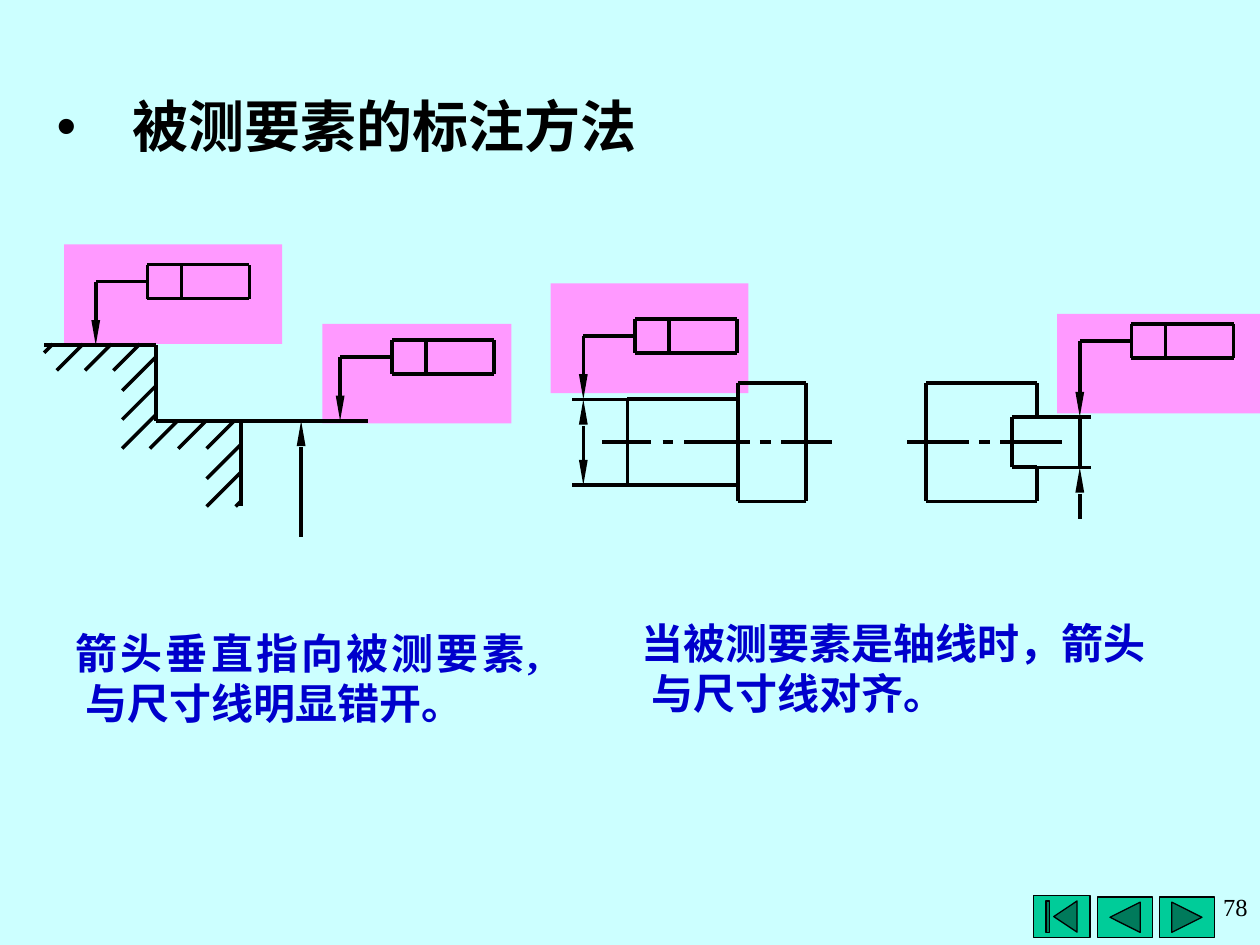
from dataclasses import dataclass
from itertools import pairwise

from lxml import etree
from pptx import Presentation
from pptx.dml.color import RGBColor
from pptx.enum.shapes import MSO_CONNECTOR, MSO_SHAPE
from pptx.enum.text import MSO_ANCHOR, MSO_AUTO_SIZE, PP_ALIGN
from pptx.oxml.ns import qn
from pptx.util import Inches, Pt

STRAIGHT = MSO_CONNECTOR.STRAIGHT
RECTANGLE = MSO_SHAPE.RECTANGLE
FIRST = MSO_SHAPE.ACTION_BUTTON_BEGINNING
BACK = MSO_SHAPE.ACTION_BUTTON_BACK_OR_PREVIOUS
NEXT = MSO_SHAPE.ACTION_BUTTON_FORWARD_OR_NEXT
TOP = MSO_ANCHOR.TOP
FIXED = MSO_AUTO_SIZE.NONE
LEFT, RIGHT, JUSTIFY = PP_ALIGN.LEFT, PP_ALIGN.RIGHT, PP_ALIGN.JUSTIFY


@dataclass(frozen=True)
class Theme:
    background = RGBColor(0xCC, 0xFF, 0xFF)
    ink = RGBColor(0, 0, 0)
    caption = RGBColor(0, 0, 0xCC)
    highlight = RGBColor(0xFF, 0x99, 0xFF)
    button = RGBColor(0, 0xCC, 0x99)
    sans = "Noto Sans CJK SC"
    serif = "Times New Roman"
    title_size = Pt(32)
    caption_size = Pt(24)
    number_size = Pt(14)
    thin = Pt(0)
    thick = Pt(2.25)


theme = Theme()
deck = Presentation()
deck.slide_width, deck.slide_height = Inches(10), Inches(7.5)
page = deck.slides.add_slide(deck.slide_layouts[5])
page.background.fill.solid()
page.background.fill.fore_color.rgb = theme.background
shapes = page.shapes


def draw_path(points, width=theme.thin):
    """Join consecutive points, given in inches, with straight lines."""
    for start, end in pairwise(points):
        line = shapes.add_connector(STRAIGHT, *map(Inches, start + end))
        line.line.width = width
        line.line.color.rgb = theme.ink
        etree.SubElement(line._element.spPr, qn("a:effectLst"))


def draw_arrowhead(x, tip, length):
    """A positive length points down, a negative one points up."""
    base, half = tip - length, 0.035
    outline = shapes.build_freeform(Inches(x - half), Inches(base))
    outline.add_line_segments(
        [(Inches(x + half), Inches(base)), (Inches(x), Inches(tip))], close=True
    )
    head = outline.convert_to_shape()
    head.shadow.inherit = False
    head.fill.solid()
    head.fill.fore_color.rgb = theme.ink
    head.line.fill.background()


# Navigation buttons and highlights
blocks = [
    (NEXT, theme.button, (9.2, 7.12, 0.44, 0.32)),
    (BACK, theme.button, (8.71, 7.12, 0.44, 0.32)),
    (FIRST, theme.button, (8.2, 7.11, 0.45, 0.33)),
    (RECTANGLE, theme.highlight, (8.39, 2.49, 1.61, 0.79)),
    (RECTANGLE, theme.highlight, (4.37, 2.25, 1.57, 0.87)),
    (RECTANGLE, theme.highlight, (2.56, 2.57, 1.5, 0.79)),
    (RECTANGLE, theme.highlight, (0.51, 1.94, 1.73, 0.79)),
]
for kind, color, place in blocks:
    block = shapes.add_shape(kind, *map(Inches, place))
    block.shadow.inherit = False
    block.fill.solid()
    block.fill.fore_color.rgb = color
    if kind == RECTANGLE:
        block.line.fill.background()
    else:
        block.line.color.rgb = theme.ink
        block.line.width = Pt(0.75)

# Title, captions and page number
title_format = dict(name=theme.sans, size=theme.title_size, bold=True)
sans_format = dict(name=theme.sans, size=theme.caption_size, bold=True)
serif_format = dict(name=theme.serif, size=theme.caption_size, bold=True)
number_format = dict(name=theme.serif, size=theme.number_size, bold=False)
texts = [
    ("被测要素的标注方法", (0.35, 0.68, 6.3, 0.64), LEFT, (0.6, -0.6),
     theme.ink, title_format),
    ("箭头垂直指向被测要素,与尺寸线明显错开。", (0.2, 4.93, 4.17, 0.9), JUSTIFY,
     (0.38, -0.08), theme.caption, serif_format),
    ("当被测要素是轴线时，箭头与尺寸线对齐。", (4.69, 4.85, 4.8, 0.9), LEFT,
     (0.38, -0.08), theme.caption, sans_format),
    ("78", (7.48, 7.03, 2.52, 0.61), RIGHT, (0, 0), theme.ink, number_format),
]
for text, place, alignment, (margin, indent), color, font_format in texts:
    is_title = font_format is title_format
    box = shapes.title if is_title else shapes.add_textbox(0, 0, 0, 0)
    box.left, box.top, box.width, box.height = map(Inches, place)
    frame = box.text_frame
    frame.word_wrap = True
    frame.auto_size = FIXED
    frame.vertical_anchor = TOP
    para = frame.paragraphs[0]
    para.alignment = alignment
    properties = para._p.get_or_add_pPr()
    properties.set("marL", str(Inches(margin)))
    properties.set("indent", str(Inches(indent)))
    if is_title:
        etree.SubElement(properties, qn("a:buFont"), typeface="Arial")
        etree.SubElement(properties, qn("a:buChar"), char="•")
    span = para.add_run()
    span.text = text
    for name, value in font_format.items():
        setattr(span.font, name, value)
    span.font.color.rgb = color
    etree.SubElement(span._r.get_or_add_rPr(), qn("a:ea"), typeface=theme.sans)

# Hatching: first start point, offset to its end, step to the next, count
hatches = [
    ((0.35, 2.8), 0.07, (0, 0), 1),
    ((0.45, 2.94), 0.21, (0.225, 0), 3),
    ((0.97, 3.1), 0.27, (0, 0.23), 3),
    ((1.19, 3.56), 0.22, (0.225, 0), 3),
    ((1.64, 3.8), 0.27, (0, 0.22), 2),
    ((1.87, 4.02), 0.04, (0, 0), 1),
]
for (x, y), run, (step_x, step_y), count in hatches:
    for i in range(count):
        start = (x + i * step_x, y + i * step_y)
        draw_path([start, (start[0] + run, start[1] - run)])

# Tolerance frames, each with a leader down to the measured feature
frame_width, cell, leader = 0.81, 0.27, 0.41
for left, top, tip in [
    (1.17, 2.1, 2.74), (3.11, 2.7, 3.34), (5.04, 2.53, 3.17), (8.98, 2.57, 3.31)
]:
    right, bottom, middle = left + frame_width, top + cell, top + cell / 2
    draw_path([(left, top), (left, bottom), (right, bottom), (right, top), (left, top)])
    draw_path([(left + cell, top), (left + cell, bottom)])
    draw_path([(left, middle), (left - leader, middle), (left - leader, tip - 0.2)])
    draw_arrowhead(left - leader, tip, 0.2)

# Part outlines: stepped block, shaft, shaft head, slotted block
outlines = [
    [(0.35, 2.74), (1.24, 2.74), (1.24, 3.34), (1.91, 3.34), (1.91, 4.02)],
    [(5.86, 3.85), (4.98, 3.85), (4.98, 3.17), (5.86, 3.17)],
    [(5.86, 3.98), (5.86, 3.04), (6.4, 3.04), (6.4, 3.98), (5.86, 3.98)],
    [(8.23, 3.31), (8.23, 3.04), (7.35, 3.04), (7.35, 3.98), (8.23, 3.98),
     (8.23, 3.71), (8.03, 3.71), (8.03, 3.31), (8.23, 3.31)],
]
for outline in outlines:
    draw_path(outline, theme.thick)

# Centre lines
axis = 3.51
for start, end in [
    (4.78, 5.17), (5.26, 5.34), (5.43, 5.95), (6.03, 6.12), (6.2, 6.6),
    (7.2, 7.69), (7.77, 7.86), (7.94, 8.43),
]:
    draw_path([(start, axis), (end, axis)])

# Extension lines
for start, end, y in [
    (1.91, 2.92, 3.34), (4.54, 4.98, 3.17), (4.54, 4.98, 3.85),
    (8.23, 8.66, 3.31), (8.23, 8.66, 3.71),
]:
    draw_path([(start, y), (end, y)])

# Dimension lines
for x, start, end in [
    (2.39, 3.55, 4.26), (4.63, 3.38, 3.65), (8.57, 3.92, 4.12), (8.57, 3.31, 3.71)
]:
    draw_path([(x, start), (x, end)])
for x, tip, length in [
    (2.39, 3.34, -0.2), (4.63, 3.17, -0.2), (4.63, 3.85, 0.2), (8.57, 3.71, -0.2)
]:
    draw_arrowhead(x, tip, length)

deck.save("out.pptx")
